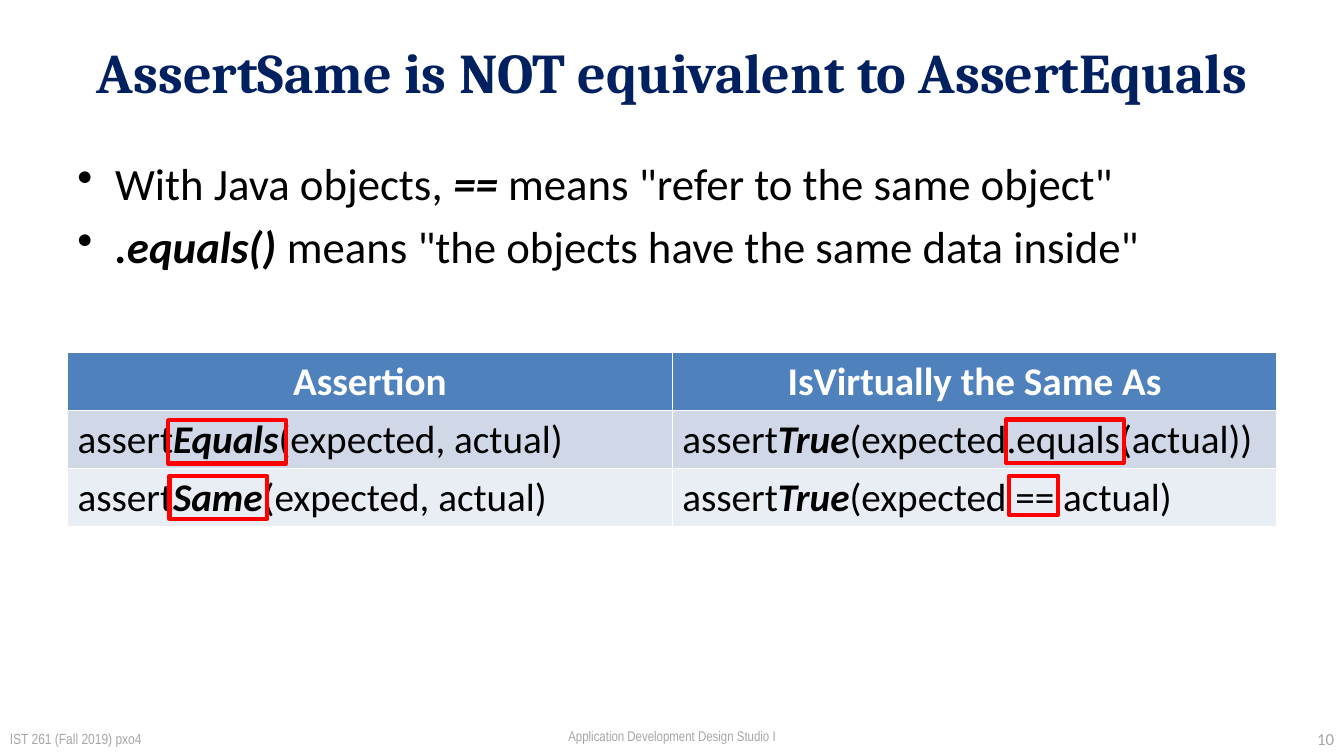
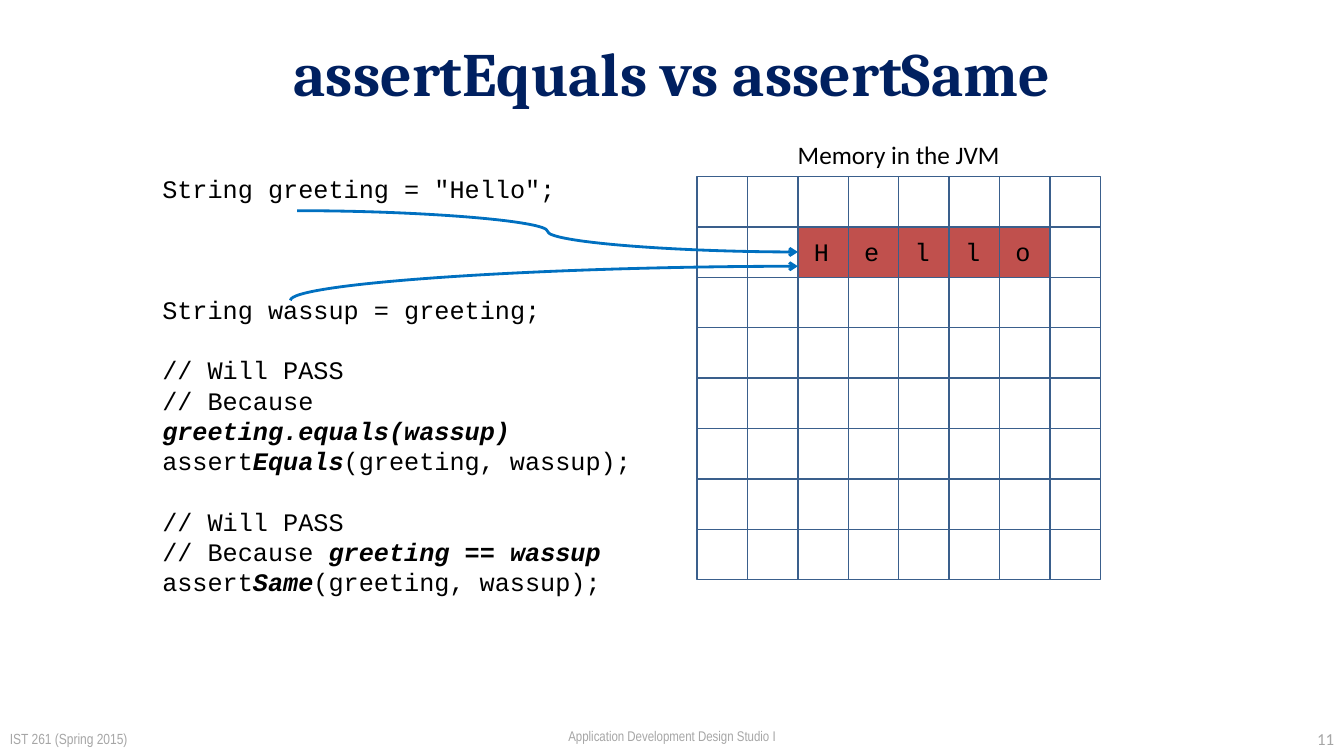
from lxml import etree
from pptx import Presentation
from pptx.dml.color import RGBColor
from pptx.enum.shapes import MSO_CONNECTOR, MSO_SHAPE
from pptx.enum.text import MSO_ANCHOR, PP_ALIGN
from pptx.oxml.ns import qn
from pptx.util import Cm, Pt

NAVY = RGBColor(0x00, 0x20, 0x60)
BLACK = RGBColor(0x00, 0x00, 0x00)
WHITE = RGBColor(0xFF, 0xFF, 0xFF)
GRAY = RGBColor(0xA6, 0xA6, 0xA6)
RED = RGBColor(0xFF, 0x00, 0x00)
BRICK = RGBColor(0xC0, 0x50, 0x4D)
GRID_BLUE = RGBColor(0x3A, 0x5F, 0x8C)
ARROW_BLUE = RGBColor(0x00, 0x70, 0xC0)
HEADER_BLUE = RGBColor(0x4F, 0x81, 0xBD)
ROW_FILLS = [HEADER_BLUE, RGBColor(0xD0, 0xD8, 0xE8), RGBColor(0xE9, 0xED, 0xF4)]

LEFT, CENTER, RIGHT = PP_ALIGN.LEFT, PP_ALIGN.CENTER, PP_ALIGN.RIGHT
TOP, MIDDLE = MSO_ANCHOR.TOP, MSO_ANCHOR.MIDDLE
RECTANGLE = MSO_SHAPE.RECTANGLE
CURVE = MSO_CONNECTOR.CURVE

HEADING_FONT, BODY_FONT = "Cambria", "Calibri"
FOOTER_FONT, CODE_FONT = "Arial Narrow", "Courier New"

MARGIN = 1.7
CONTENT_WIDTH = 30.48
CELL = 1.27
GRID_SIZE = 8
GRID_LEFT, GRID_TOP = 17.57, 4.45
WORD = "Hello"
WORD_LEFT, WORD_TOP = GRID_LEFT + 2 * CELL, GRID_TOP + CELL
CODE_LINE = 21.6

BULLETS = [
    'With Java objects, *==* means "refer to the same object"',
    '*.equals()* means "the objects have the same data inside"',
]
ASSERTIONS = [
    ("Assertion", "IsVirtually the Same As"),
    ("assert*Equals*(expected, actual)", "assert*True*(expected.equals(actual))"),
    ("assert*Same*(expected, actual)", "assert*True*(expected == actual)"),
]
HIGHLIGHTS = [
    (25.43, 11.99, 1.24, 0.99),
    (25.35, 10.57, 2.97, 1.09),
    (4.24, 10.59, 2.97, 1.09),
    (4.27, 11.99, 2.46, 1.09),
]
CODE = [
    (0, 'String greeting = "Hello";'),
    (3, "String wassup = greeting;"),
    (1, "// Will PASS"),
    (0, "// Because *greeting.equals(wassup)*"),
    (0, "assert*Equals*(greeting, wassup);"),
    (1, "// Will PASS"),
    (0, "// Because *greeting == wassup*"),
    (0, "assert*Same*(greeting, wassup);"),
]


def write(para, text, size, name, color=BLACK, align=LEFT, bold=False):
    para.alignment = align
    font = para.font
    font.size, font.name, font.bold = Pt(size), name, bold
    font.color.rgb = color
    for index, part in enumerate(text.split("*")):
        if part:
            span = para.add_run()
            span.text = part
            if index % 2:
                span.font.bold = span.font.italic = True


def add_frame(page, left, top, width, height, anchor=TOP):
    box = page.shapes.add_textbox(Cm(left), Cm(top), Cm(width), Cm(height))
    box.text_frame.word_wrap = True
    box.text_frame.vertical_anchor = anchor
    return box.text_frame


def add_text(page, place, text, size, name, color=BLACK, align=LEFT,
             bold=False, anchor=TOP):
    frame = add_frame(page, *place, anchor)
    write(frame.paragraphs[0], text, size, name, color, align, bold)


def each_paragraph(frame, items):
    for index, item in enumerate(items):
        yield (frame.add_paragraph() if index else frame.paragraphs[0]), item


def add_rectangle(shapes, left, top, width, height, line, weight, fill=None):
    box = shapes.add_shape(RECTANGLE, Cm(left), Cm(top), Cm(width), Cm(height))
    box.shadow.inherit = False
    box.line.color.rgb = line
    box.line.width = Pt(weight)
    if fill is None:
        box.fill.background()
    else:
        box.fill.solid()
        box.fill.fore_color.rgb = fill


def add_curve(page, begin, end, arrow_end, preset):
    curve = page.shapes.add_connector(CURVE, *map(Cm, begin + end))
    curve.line.color.rgb = ARROW_BLUE
    curve.line.width = Pt(2)
    properties = curve._element.spPr
    properties.find(qn("a:prstGeom")).set("prst", preset)
    etree.SubElement(properties.find(qn("a:ln")), qn(arrow_end), type="arrow")
    etree.SubElement(properties, qn("a:effectLst"))


def add_bullets(page, items):
    frame = add_frame(page, MARGIN, 3.81, CONTENT_WIDTH, 4)
    for para, text in each_paragraph(frame, items):
        properties = para._p.get_or_add_pPr()
        properties.set("marL", str(Cm(0.95)))
        properties.set("indent", str(-Cm(0.95)))
        etree.SubElement(properties, qn("a:buChar"), char="•")
        if text != items[0]:
            para.space_before = Pt(6.4)
        write(para, text, 32, BODY_FONT)


def add_assertion_table(page):
    row_height = 1.46
    table = page.shapes.add_table(
        len(ASSERTIONS), 2, Cm(MARGIN), Cm(8.89), Cm(CONTENT_WIDTH),
        Cm(row_height * len(ASSERTIONS))).table
    table.horz_banding = False
    for row, texts in enumerate(ASSERTIONS):
        header = row == 0
        for column, text in enumerate(texts):
            cell = table.cell(row, column)
            cell.fill.solid()
            cell.fill.fore_color.rgb = ROW_FILLS[row]
            write(cell.text_frame.paragraphs[0], text, 28, BODY_FONT,
                  WHITE if header else BLACK, CENTER if header else LEFT, header)


def add_code(page):
    frame = add_frame(page, 3.84, 4.24, 13.05, 11.02)
    for para, (gap, text) in each_paragraph(frame, CODE):
        para.line_spacing = Pt(CODE_LINE)
        if gap:
            para.space_before = Pt(gap * CODE_LINE)
        write(para, text, 18, CODE_FONT)


def add_memory_grid(page):
    add_rectangle(page.shapes, WORD_LEFT, WORD_TOP, len(WORD) * CELL, CELL,
                  GRID_BLUE, 1, BRICK)
    grid = page.shapes.add_group_shape().shapes
    for row in range(GRID_SIZE):
        for column in range(GRID_SIZE):
            add_rectangle(grid, GRID_LEFT + column * CELL, GRID_TOP + row * CELL,
                          CELL, CELL, GRID_BLUE, 1)
    add_text(page, (GRID_LEFT, 3.38, GRID_SIZE * CELL, 1.02),
             "Memory in the JVM", 18, BODY_FONT, align=CENTER)
    for index, letter in enumerate(WORD):
        place = (WORD_LEFT + index * CELL + 0.15, WORD_TOP + 0.1, 1.12, 1.02)
        add_text(page, place, letter, 18, CODE_FONT)


def add_page(deck, title, title_size, course, number):
    page = deck.slides.add_slide(deck.slide_layouts[6])
    add_text(page, (MARGIN, 0, CONTENT_WIDTH, 3.6), title, title_size,
             HEADING_FONT, NAVY, CENTER, True, MIDDLE)
    add_text(page, (0, 18.2, 9.6, 0.84), course, 10.5, FOOTER_FONT, GRAY,
             anchor=MIDDLE)
    add_text(page, (9.6, 18.2, 14.67, 0.8),
             "Application Development Design Studio I", 10, FOOTER_FONT, GRAY, CENTER)
    add_text(page, (24.27, 18.2, 9.6, 0.84), number, 12, BODY_FONT, GRAY, RIGHT,
             anchor=MIDDLE)
    return page


def build_equivalence_page(deck):
    page = add_page(deck, "AssertSame is NOT equivalent to AssertEquals", 40,
                    "IST 261 (Fall 2019) pxo4", "10")
    add_bullets(page, BULLETS)
    add_assertion_table(page)
    for place in HIGHLIGHTS:
        add_rectangle(page.shapes, *place, RED, 3)


def build_memory_page(deck):
    page = add_page(deck, "assertEquals vs assertSame", 44,
                    "IST 261 (Spring 2015)", "11")
    add_memory_grid(page)
    add_code(page)
    add_curve(page, (7.49, 5.31), (WORD_LEFT, 6.35), "a:tailEnd", "curvedConnector3")
    add_curve(page, (WORD_LEFT, 6.71), (7.32, 7.57), "a:headEnd", "curvedConnector2")


def main():
    deck = Presentation()
    deck.slide_width, deck.slide_height = Cm(33.87), Cm(19.05)
    build_equivalence_page(deck)
    build_memory_page(deck)
    deck.save("out.pptx")


if __name__ == "__main__":
    main()
